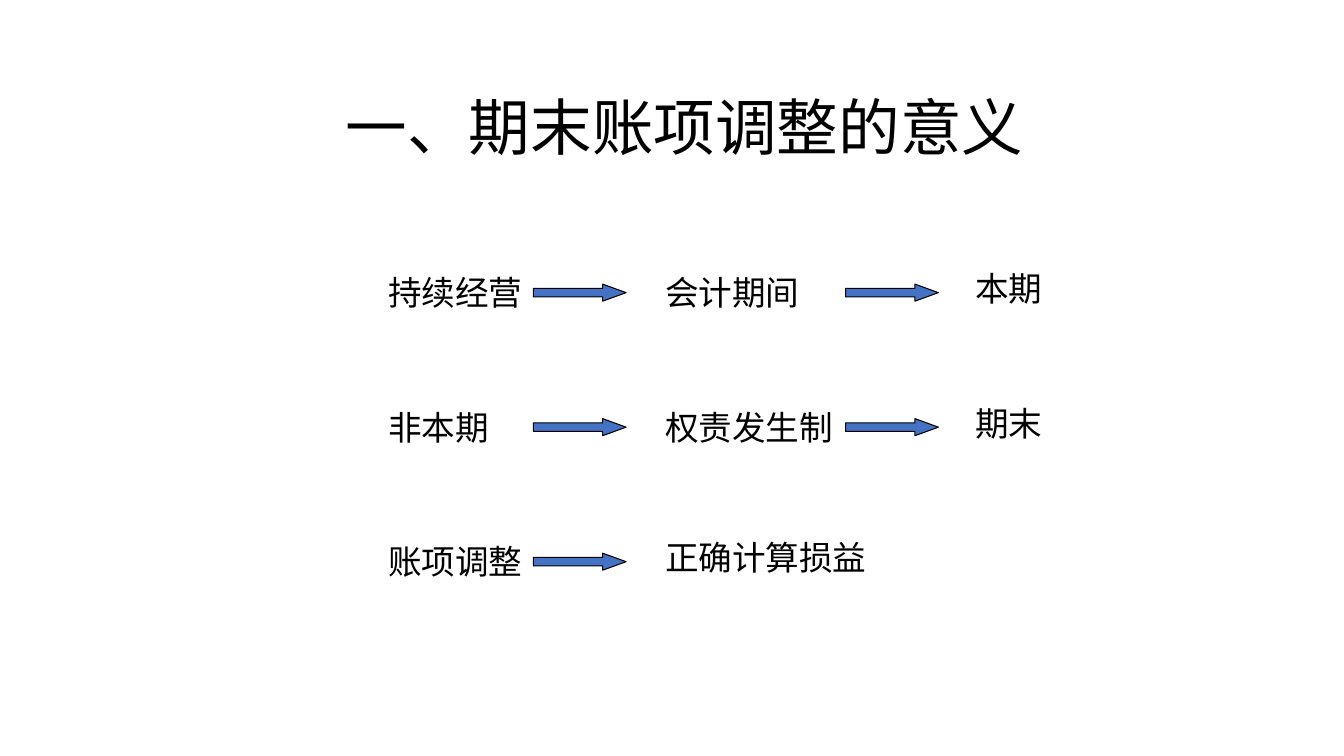
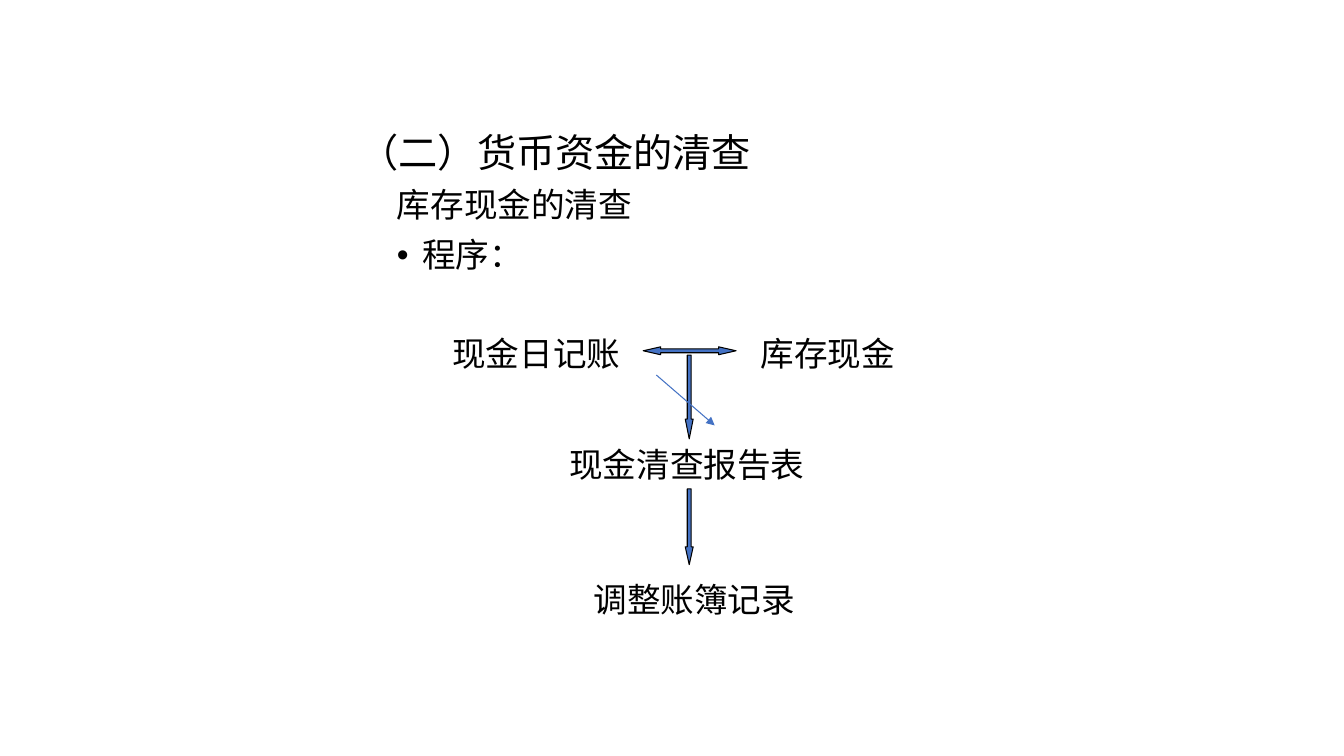
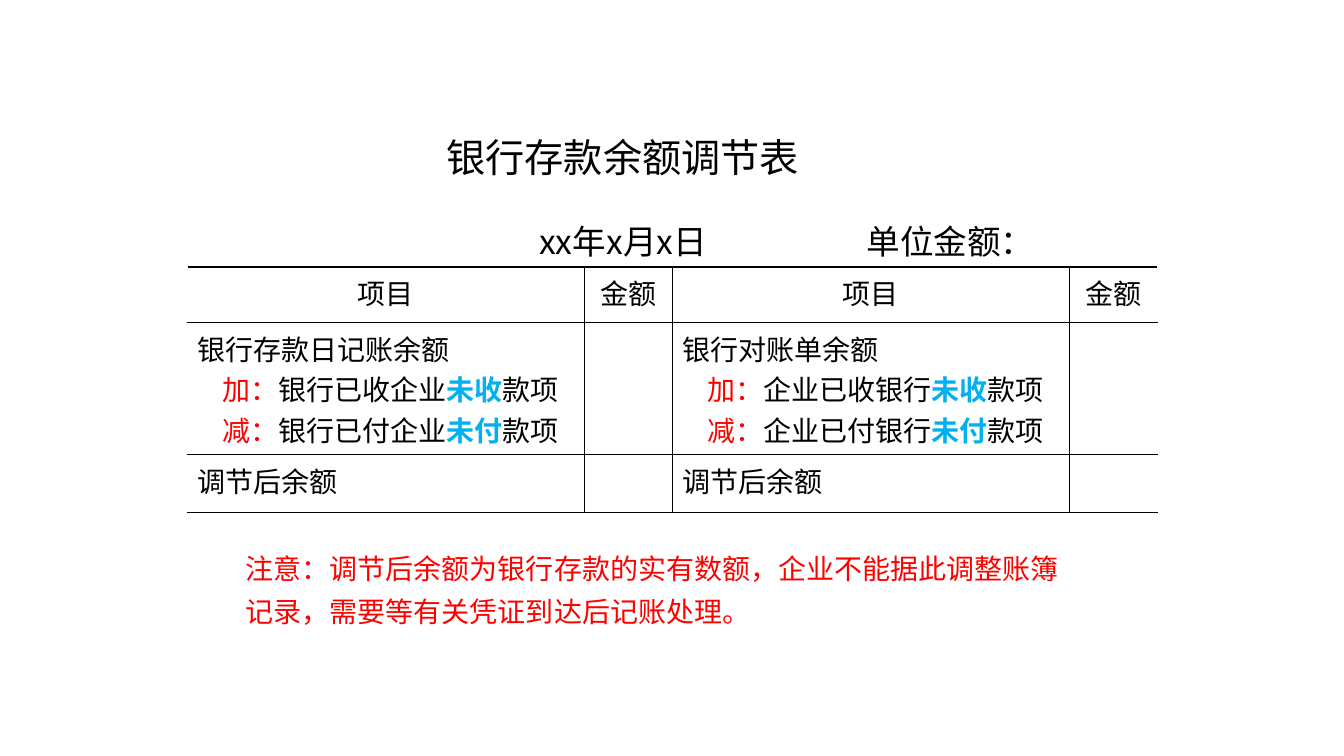
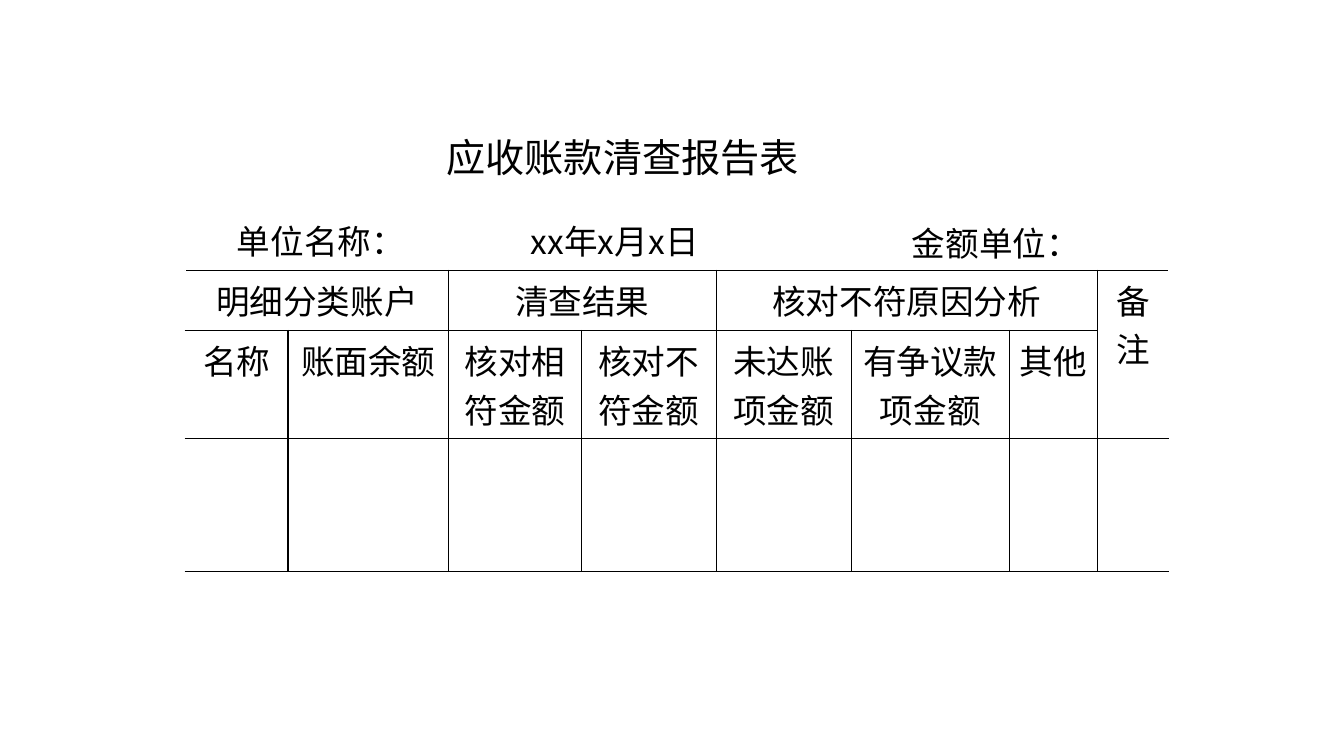
import pptx
import pptx.util
import pptx.dml.color
import pptx.enum.shapes
import pptx.enum.text
import pptx.oxml
import pptx.oxml.ns

Cm = pptx.util.Cm
Pt = pptx.util.Pt
Shape = pptx.enum.shapes.MSO_SHAPE
Align = pptx.enum.text.PP_ALIGN
Anchor = pptx.enum.text.MSO_ANCHOR
Fit = pptx.enum.text.MSO_AUTO_SIZE
qn = pptx.oxml.ns.qn

FONT = "Noto Sans CJK SC"
INK = "000000"
PAPER = "FFFFFF"
BLUE = "4472C4"
RED = "FF0000"
SKY = "00B0F0"
NS = pptx.oxml.ns.nsdecls("a")
HEAD = (11, 3.12, 13, 2.79)


def hue(code):
    return pptx.dml.color.RGBColor.from_string(code)


def write(para, runs, size, align=Align.LEFT, space=1.0):
    para.alignment = align
    para.line_spacing = space
    for text, code, bold in runs:
        run = para.add_run()
        run.text = text
        font = run.font
        font.name = FONT
        font.size = Pt(size)
        font.bold = bold
        font.color.rgb = hue(code)
        props = run._r.get_or_add_rPr()
        props.find(qn("a:latin")).addnext(
            pptx.oxml.parse_xml(f'<a:ea {NS} typeface="{FONT}"/>'))


def plain(text, code=INK):
    return [(text, code, False)]


def place(shape, box):
    shape.left, shape.top, shape.width, shape.height = map(Cm, box)


def title(slide, box, text, size, align=Align.JUSTIFY, space=0.9, anchor=Anchor.MIDDLE):
    shape = slide.shapes.title
    place(shape, box)
    frame = shape.text_frame
    frame.auto_size = Fit.NONE
    frame.vertical_anchor = anchor
    write(frame.paragraphs[0], plain(text), size, align, space)


def label(slide, box, text, size=24, code=INK, align=Align.LEFT, space=1.0):
    frame = slide.shapes.add_textbox(*map(Cm, box)).text_frame
    frame.word_wrap = True
    frame.auto_size = Fit.SHAPE_TO_FIT_TEXT
    write(frame.paragraphs[0], plain(text, code), size, align, space)


def arrow(slide, kind, box, tip):
    shape = slide.shapes.add_shape(kind, *map(Cm, box))
    shape.shadow.inherit = False
    shape.adjustments[0] = 0.5
    shape.adjustments[1] = tip
    shape.fill.solid()
    shape.fill.fore_color.rgb = hue(BLUE)
    shape.line.color.rgb = hue(INK)
    shape.line.width = Pt(0.75)


def pointer(slide, start, end):
    line = slide.shapes.add_connector(
        pptx.enum.shapes.MSO_CONNECTOR.STRAIGHT, *map(Cm, start + end))
    line.line.color.rgb = hue(BLUE)
    line.line.width = Pt(0.75)
    line.line._get_or_add_ln().append(
        pptx.oxml.parse_xml(f'<a:tailEnd {NS} type="triangle"/>'))
    line._element.spPr.append(pptx.oxml.parse_xml(f"<a:effectLst {NS}/>"))


def chain(slide, box, rows):
    left, top, width, height = box
    step = height / len(rows)
    cols = [(0, 5.72), (6.98, 7.42), (14.8, width - 14.8)]
    gaps = [3.91, 11.78]
    for i, row in enumerate(rows):
        y = top + i * step
        for j, text in enumerate(row):
            lift = 0.1 if j == len(row) - 1 else 0
            x, wide = cols[j]
            label(slide, (left + x, y - lift, wide, 1.3), text)
        for x in gaps[:len(row) - 1]:
            arrow(slide, Shape.RIGHT_ARROW, (left + x, y + 0.43, 2.34, 0.43), 1.375)


def steps(slide, box, texts):
    left, top, width, height = box
    body = slide.placeholders[1]
    place(body, box)
    frame = body.text_frame
    frame.auto_size = Fit.NONE
    frame.vertical_anchor = Anchor.TOP
    for i, (text, mark) in enumerate(texts):
        para = frame.add_paragraph() if i else frame.paragraphs[0]
        props = para._p.get_or_add_pPr()
        hang = Cm(0.64) if mark else 0
        props.set("marL", str(hang))
        props.set("indent", str(-hang))
        tag = f'<a:buChar {NS} char="{mark}"/>' if mark else f"<a:buNone {NS}/>"
        props.append(pptx.oxml.parse_xml(tag))
        para.space_before = Pt(10 if i else 0)
        write(para, plain(text), 24, Align.JUSTIFY, 0.9)


def check(slide, box):
    left, top, width, height = box
    for x, y, wide, text in [
        (0, 0, 7.42, "现金日记账"),
        (7.77, 0, 6.78, "库存现金"),
        (2.95, 2.79, 10.36, "现金清查报告表"),
        (3.56, 6.2, 9.22, "调整账簿记录"),
    ]:
        label(slide, (left + x, top + y, wide, 1.27), text)
    arrow(slide, Shape.LEFT_RIGHT_ARROW, (left + 5.06, top + 0.48, 2.34, 0.2), 2.2)
    for y, tall, tip in [(0.69, 2.11, 2.5), (4.06, 1.91, 2.25)]:
        arrow(slide, Shape.DOWN_ARROW, (left + 6.12, top + y, 0.2, tall), tip)
    pointer(slide, (left + 5.39, top + 1.19), (left + 6.86, top + 2.46))


def border(cell, first, last):
    props = cell._tc.get_or_add_tcPr()
    sides = [("L", PAPER if first else INK), ("R", PAPER if last else INK),
             ("T", INK), ("B", INK)]
    for i, (side, code) in enumerate(sides):
        props.insert(i, pptx.oxml.parse_xml(
            f'<a:ln{side} {NS} w="12700"><a:solidFill><a:srgbClr val="{code}"/>'
            f"</a:solidFill></a:ln{side}>"))


def grid(slide, spot, cols, rows):
    box = (*spot, sum(cols), sum(rows))
    table = slide.shapes.add_table(len(rows), len(cols), *map(Cm, box)).table
    table.first_row = False
    table.horz_banding = False
    for col, wide in zip(table.columns, cols):
        col.width = Cm(wide)
    for row, tall in zip(table.rows, rows):
        row.height = Cm(tall)
        for j, cell in enumerate(row.cells):
            cell.fill.background()
            border(cell, j == 0, j == len(cols) - 1)
    return table


def entry(cell, text, size, align=Align.CENTER):
    write(cell.text_frame.paragraphs[0], plain(text), size, align)


def caption(slide, x, y, wide, text):
    label(slide, (x, y, wide, 1.4), text, align=Align.JUSTIFY, space=1.1)


def balance(slide, spot):
    table = grid(slide, spot, [10.01, 2.21] * 2, [1.4, 3.33, 1.45])
    sides = [("银行存款日记账余额", "银行", "企业"), ("银行对账单余额", "企业", "银行")]
    for i, (name, one, two) in enumerate(sides):
        col = 2 * i
        entry(table.cell(0, col), "项目", 20)
        entry(table.cell(0, col + 1), "金额", 20)
        entry(table.cell(1, col), name, 20, Align.LEFT)
        entry(table.cell(2, col), "调节后余额", 20, Align.LEFT)
        for sign, act in [("加：", "收"), ("减：", "付")]:
            para = table.cell(1, col).text_frame.add_paragraph()
            para._p.get_or_add_pPr().set("marL", str(Cm(0.63)))
            write(para, [(sign, RED, False), (f"{one}已{act}{two}", INK, False),
                         (f"未{act}", SKY, True), ("款项", INK, False)], 20)


def report(slide, spot):
    cols = [2.59, 4.04, 3.35, 3.4, 3.4, 3.99, 2.21, 1.8]
    table = grid(slide, spot, cols, [1.52, 2.29, 3.35])
    for row, col, end, text in [(0, 0, 1, "明细分类账户"), (0, 2, 3, "清查结果"),
                                (0, 4, 6, "核对不符原因分析"), (1, 7, 7, "备注")]:
        cell = table.cell(0, col)
        cell.merge(table.cell(row, end))
        entry(cell, text, 24)
    names = ["名称", "账面余额", "核对相符金额", "核对不符金额",
             "未达账项金额", "有争议款项金额", "其他"]
    for col, name in enumerate(names):
        entry(table.cell(1, col), name, 24)


def main():
    deck = pptx.Presentation()
    deck.slide_width, deck.slide_height = Cm(33.87), Cm(19.05)
    bare, full = deck.slide_layouts[5], deck.slide_layouts[1]

    slide = deck.slides.add_slide(bare)
    title(slide, (8.46, 1.52, 18.31, 3.56), "一、期末账项调整的意义", 44, Align.LEFT)
    chain(slide, (9.53, 6.73, 18.1, 10.17), [
        ["持续经营", "会计期间", "本期"],
        ["非本期", "权责发生制", "期末"],
        ["账项调整", "正确计算损益"],
    ])

    slide = deck.slides.add_slide(full)
    title(slide, (8.81, 2.13, 18.31, 3.56), "（二）货币资金的清查", 28)
    steps(slide, (9.75, 4.62, 18.31, 10.49), [("库存现金的清查", ""), ("程序：", "•")])
    check(slide, (11.15, 8.26, 14.55, 7.5))

    slide = deck.slides.add_slide(bare)
    title(slide, HEAD, "银行存款余额调节表", 28, space=1.1, anchor=Anchor.TOP)
    balance(slide, (4.72, 6.73))
    caption(slide, 13.34, 5.33, 7, "xx年x月x日")
    caption(slide, 21.59, 5.33, 4.8, "单位金额：")
    label(slide, (5.94, 13.51, 21.36, 2.59),
          "注意：调节后余额为银行存款的实有数额，企业不能据此调整账簿记录，需要等有关凭证到达后记账处理。",
          20, RED, space=1.3)

    slide = deck.slides.add_slide(bare)
    title(slide, HEAD, "应收账款清查报告表", 28, space=1.1, anchor=Anchor.TOP)
    report(slide, (4.67, 6.81))
    caption(slide, 5.72, 5.33, 7, "单位名称：")
    caption(slide, 13.13, 5.33, 7, "xx年x月x日")
    caption(slide, 22.73, 5.38, 4.8, "金额单位：")

    deck.save("out.pptx")


if __name__ == "__main__":
    main()
